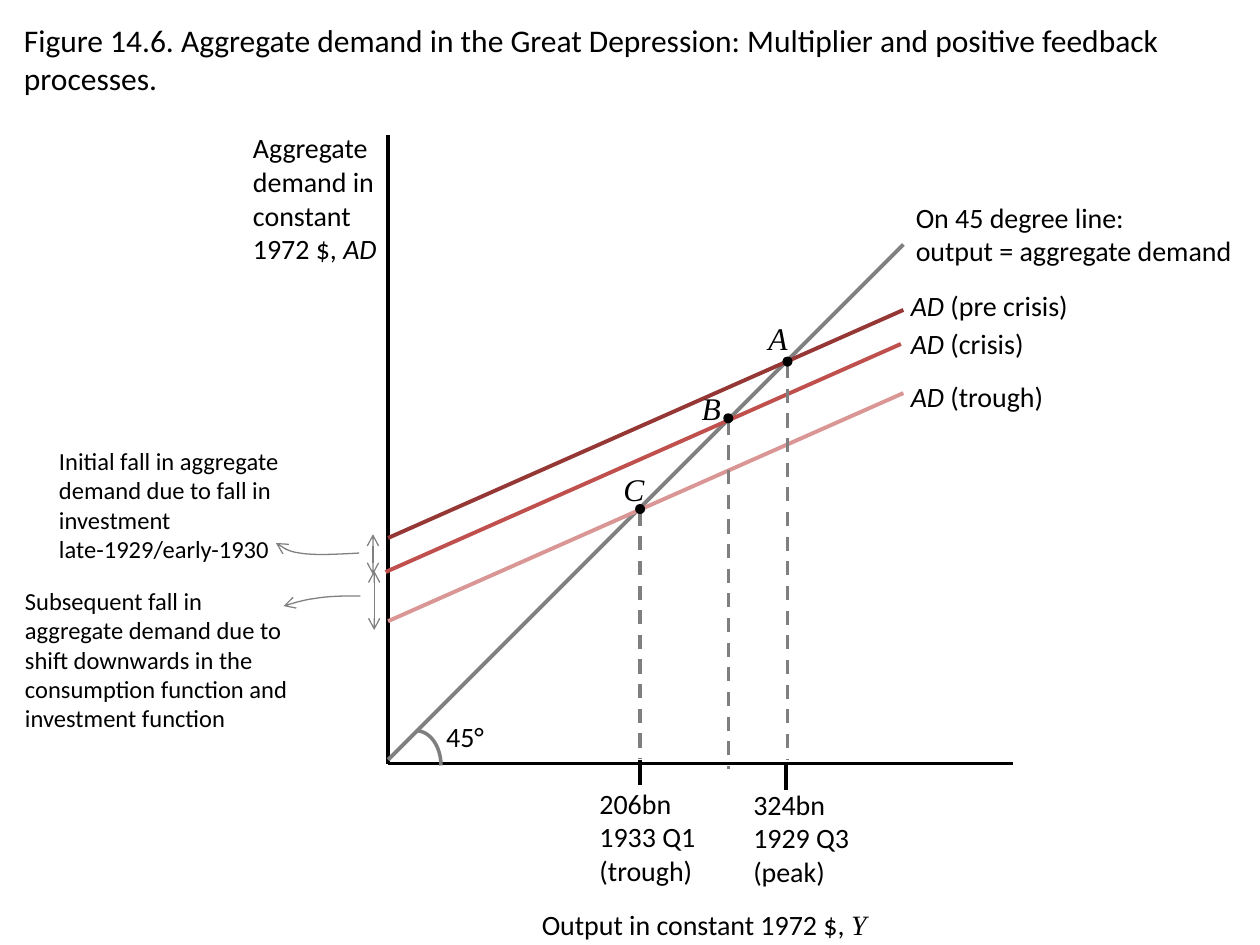
from pptx import Presentation
from pptx.dml.color import RGBColor
from pptx.enum.dml import MSO_LINE
from pptx.enum.shapes import MSO_CONNECTOR, MSO_SHAPE
from pptx.enum.text import MSO_ANCHOR, MSO_AUTO_SIZE, PP_ALIGN
from pptx.oxml.ns import qn
from pptx.util import Inches, Pt
from lxml import etree

LEFT, CENTER, RIGHT = PP_ALIGN.LEFT, PP_ALIGN.CENTER, PP_ALIGN.RIGHT
DASH = MSO_LINE.DASH
SERIF = "Times New Roman"
COLORS = {"black": "000000", "gray": "808080", "dash": "7F7F7F",
          "pre": "953735", "crisis": "C0504D", "trough": "D99694"}

prs = Presentation()
prs.slide_width, prs.slide_height = Inches(10), Inches(7.5)
slide = prs.slides.add_slide(prs.slide_layouts[5])
shapes = slide.shapes


def text(words, x, y, w, h, size=16, font="Calibri", slant="Calibri",
         align=LEFT, wrap=True, box=None):
    """Set words in a box; parts between underscores are italic."""
    box = box or shapes.add_textbox(0, 0, 0, 0)
    box.left, box.top, box.width, box.height = map(Inches, (x, y, w, h))
    frame = box.text_frame
    frame.word_wrap = wrap
    frame.auto_size = MSO_AUTO_SIZE.NONE
    frame.vertical_anchor = MSO_ANCHOR.TOP
    for i, row in enumerate(words.split("\n")):
        para = frame.add_paragraph() if i else frame.paragraphs[0]
        para.alignment = align
        for j, part in enumerate(row.split("_")):
            if part:
                run = para.add_run()
                run.text = part
                run.font.size = Pt(size)
                run.font.italic = j % 2 == 1
                run.font.name = slant if j % 2 else font
                run.font.color.rgb = RGBColor.from_string(COLORS["black"])


def line(points, color="black", width=2, dash=None, ends=()):
    """Draw a straight line, or an open outline through more points."""
    pts = [(Inches(x), Inches(y)) for x, y in points]
    if len(pts) == 2:
        item = shapes.add_connector(MSO_CONNECTOR.STRAIGHT, *pts[0], *pts[1])
        etree.SubElement(item._element.spPr, qn("a:effectLst"))
    else:
        pen = shapes.build_freeform(*pts[0], scale=1.0)
        pen.add_line_segments(pts[1:], close=False)
        item = pen.convert_to_shape()
        item.fill.background()
        item.shadow.inherit = False
    item.line.color.rgb = RGBColor.from_string(COLORS[color])
    item.line.width = Pt(width)
    if dash:
        item.line.dash_style = dash
    for end in ends:
        etree.SubElement(item.line._get_or_add_ln(), qn("a:" + end), type="arrow")


text("Figure 14.6. Aggregate demand in the Great Depression: "
     "Multiplier and positive feedback processes.",
     0.09, 0.12, 10.1, 0.71, size=18, box=shapes.title)

# Axes and 45 degree line
line([(3.08, 1.07), (3.08, 6.06)])
line([(3.08, 6.06), (8.04, 6.06)])
line([(7.17, 1.94), (3.08, 6.03)], "gray", 2.25)
text("Aggregate demand in constant 1972 $, _AD_", 1.91, 0.99, 1.26, 1.18)
text("Output in constant 1972 $, _Y_", 3.11, 7.15, 4.96, 0.37,
     slant=SERIF, align=CENTER)
text("On 45 degree line:\noutput = aggregate demand", 7.17, 1.54, 2.83, 0.64)
text("45°", 3.43, 5.66, 0.51, 0.37, align=RIGHT, wrap=False)
arc = shapes.add_shape(MSO_SHAPE.ARC, Inches(3.11), Inches(5.8),
                       Inches(0.39), Inches(0.55))
arc.shadow.inherit = False
arc.fill.background()
arc.line.color.rgb = RGBColor.from_string(COLORS["dash"])
arc.line.width = Pt(2)

# Aggregate demand lines, all of one slope
for name, color, x, y, top in (("pre crisis", "pre", 3.08, 4.27, 2.24),
                               ("crisis", "crisis", 3.06, 4.54, 2.54),
                               ("trough", "trough", 3.08, 4.93, 2.96)):
    line([(x, y), (x + 4.09, y - 1.81)], color, 2.25)
    text(f"_AD_ ({name})", 7.13, top, 2.85, 0.37)

# Equilibrium points with drop lines
for name, x, y, foot, tx, ty in (("A", 6.25, 2.87, 6.03, 6, 2.48),
                                 ("B", 5.78, 3.32, 6.1, 5.47, 3.04),
                                 ("C", 5.08, 4.04, 6.02, 4.85, 3.68)):
    line([(x, y + 0.02), (x, foot)], "dash", dash=DASH)
    dot = shapes.add_shape(MSO_SHAPE.OVAL, Inches(x - 0.04), Inches(y - 0.04),
                           Inches(0.08), Inches(0.08))
    dot.shadow.inherit = False
    dot.fill.solid()
    dot.fill.fore_color.rgb = RGBColor.from_string(COLORS["black"])
    dot.line.fill.background()
    text(f"_{name}_", tx, ty, 0.36, 0.4, size=18, slant=SERIF, wrap=False)

# Output ticks
for x, y, words, tx, ty, w in (
        (6.24, 6.07, "324bn\n1929 Q3\n(peak)", 5.88, 6.2, 1.02),
        (5.08, 6.03, "206bn\n1933 Q1\n(trough)", 4.66, 6.19, 0.97)):
    line([(x, y), (x, y + 0.2)])
    text(words, tx, ty, w, 0.91, wrap=False)

# Falls in demand: span arrows, notes and curved pointers
text("Initial fall in aggregate demand due to fall in investment "
     "late-1929/early-1930", 0.37, 3.49, 2.44, 1.04, size=14)
text("Subsequent fall in aggregate demand due to shift downwards in the "
     "consumption function and investment function",
     0.1, 4.6, 2.36, 1.28, size=14)
for x, top, foot in ((2.96, 4.24, 4.56), (2.97, 4.53, 5)):
    line([(x, top), (x, foot)], "gray", 0.75, ends=("headEnd", "tailEnd"))

STEPS = 8
for knots in (
        [(2.85, 4.39), (2.67, 4.4), (2.49, 4.41), (2.38, 4.39),
         (2.27, 4.38), (2.19, 4.31), (2.19, 4.31)],
        [(2.86, 4.73), (2.73, 4.73), (2.61, 4.73), (2.5, 4.75),
         (2.4, 4.76), (2.25, 4.81), (2.25, 4.81)]):
    curve = [knots[0]]
    for k in (0, 3):
        for n in range(1, STEPS + 1):
            t = n / STEPS
            mix = ((1 - t) ** 3, 3 * t * (1 - t) ** 2, 3 * t * t * (1 - t), t ** 3)
            curve.append(tuple(sum(m * knot[axis] for m, knot in
                                   zip(mix, knots[k:k + 4])) for axis in (0, 1)))
    line(curve, "gray", 0.75, ends=("tailEnd",))

prs.save("out.pptx")
